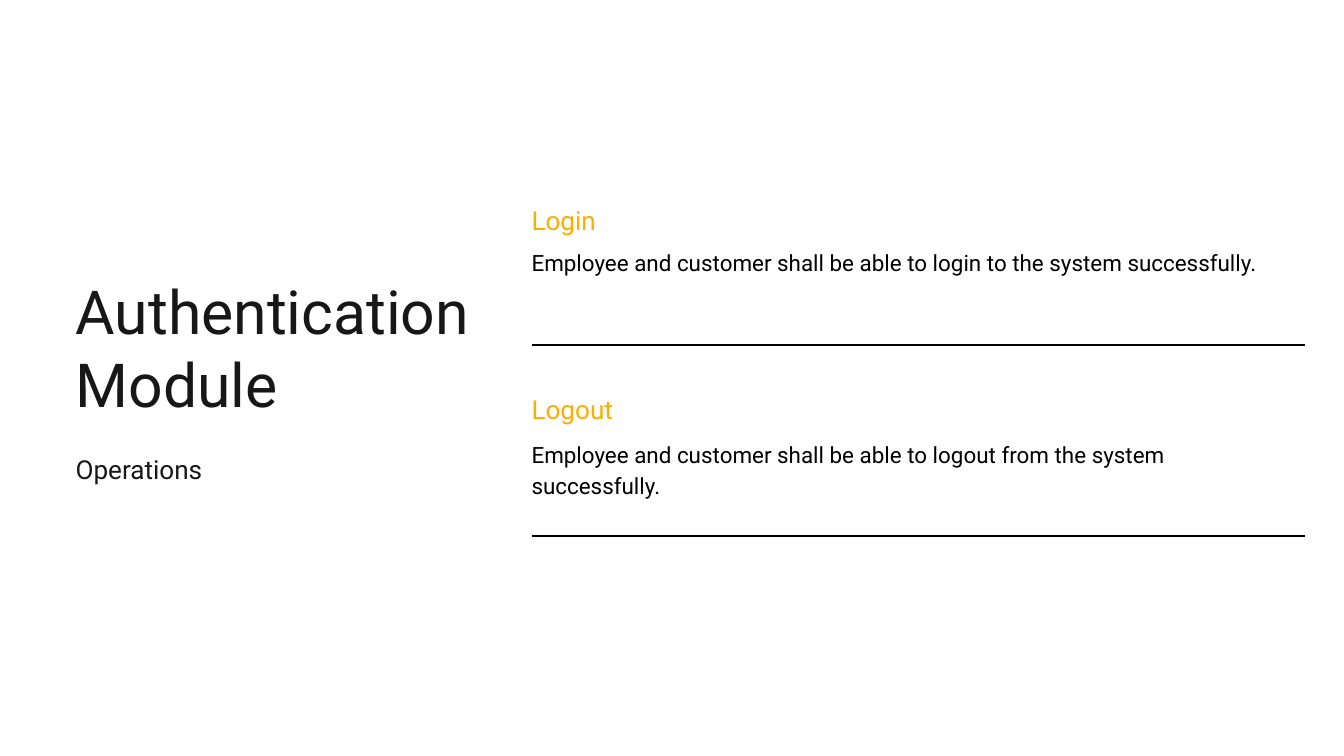
from lxml import etree
from pptx import Presentation
from pptx.dml import color
from pptx.enum import text
from pptx.oxml import ns
from pptx.util import Pt

FONT = "Roboto"
INK, AMBER, BLACK = "171717", "FCAF03", "000000"
OPERATIONS = [
    ("Login", "Employee and customer shall be able to login to the system successfully."),
    ("Logout", "Employee and customer shall be able to logout from the system successfully."),
]
ROW_HEIGHTS = [59, 106.5, 35.3, 63.4, 105.8, 35.3, 43.9, 43.9, 103, 103, 37.4]
COLUMN_WIDTHS = [820, 9]
ROWS_PER_OPERATION = 3
RULE_WIDTH = 2.25


def rgb(hex_color):
    return color.RGBColor.from_string(hex_color)


def write(frame, words, size, hex_color, spacing):
    frame.text = words
    frame.word_wrap = True
    line = frame.paragraphs[0]
    line.alignment = text.PP_ALIGN.LEFT
    line.line_spacing = Pt(spacing)
    font = line.runs[0].font
    font.name, font.size, font.color.rgb = FONT, Pt(size), rgb(hex_color)


def clear_margins(owner):
    owner.margin_left = owner.margin_right = 0
    owner.margin_top = owner.margin_bottom = 0


def set_borders(cell, ruled_sides):
    properties = cell._tc.get_or_add_tcPr()
    for side in "LRTB":
        border = etree.SubElement(properties, ns.qn(f"a:ln{side}"))
        if side in ruled_sides:
            border.set("w", str(Pt(RULE_WIDTH)))
            fill = etree.SubElement(border, ns.qn("a:solidFill"))
            etree.SubElement(fill, ns.qn("a:srgbClr"), val=BLACK)
        else:
            border.set("w", "0")
            etree.SubElement(border, ns.qn("a:noFill"))


def add_heading(slide, left, top, width):
    title = slide.shapes.title
    title.left, title.top, title.width, title.height = Pt(left), Pt(top), Pt(width), Pt(156)
    subtitle = slide.shapes.add_textbox(Pt(left), Pt(top + 186.5), Pt(300), Pt(36))
    for part, words, size, spacing in (
        (title, "Authentication Module", 65, 78),
        (subtitle, "Operations", 28, 39.2),
    ):
        frame = part.text_frame
        clear_margins(frame)
        frame.auto_size = text.MSO_AUTO_SIZE.NONE
        frame.vertical_anchor = text.MSO_ANCHOR.TOP
        write(frame, words, size, INK, spacing)


def add_operations(slide, left, top):
    table = slide.shapes.add_table(
        len(ROW_HEIGHTS), len(COLUMN_WIDTHS), Pt(left), Pt(top),
        Pt(sum(COLUMN_WIDTHS)), Pt(sum(ROW_HEIGHTS)),
    ).table
    table.first_row = table.horz_banding = False
    for column, width in zip(table.columns, COLUMN_WIDTHS):
        column.width = Pt(width)

    ruled_rows = [ROWS_PER_OPERATION * i + 1 for i in range(len(OPERATIONS))]
    for index, (row, height) in enumerate(zip(table.rows, ROW_HEIGHTS)):
        row.height = Pt(height)
        ruled_sides = "B" if index in ruled_rows else "T" if index - 1 in ruled_rows else ""
        for cell in row.cells:
            clear_margins(cell)
            set_borders(cell, ruled_sides)
            cell.fill.background()

    for index, (name, requirement) in enumerate(OPERATIONS):
        first = ROWS_PER_OPERATION * index
        name_cell = table.cell(first, 0)
        name_cell.vertical_anchor = text.MSO_ANCHOR.MIDDLE
        write(name_cell.text_frame, name, 28, AMBER, 39.2)
        write(table.cell(first + 1, 0).text_frame, requirement, 24, BLACK, 33.6)


def main():
    deck = Presentation()
    deck.slide_width, deck.slide_height = Pt(1440), Pt(810)
    slide = deck.slides.add_slide(deck.slide_layouts[5])
    slide.background.fill.solid()
    slide.background.fill.fore_color.rgb = rgb("FFFFFF")
    add_heading(slide, 81, 293.8, 469.4)
    add_operations(slide, 569.5, 204.5)
    deck.save("out.pptx")


if __name__ == "__main__":
    main()
